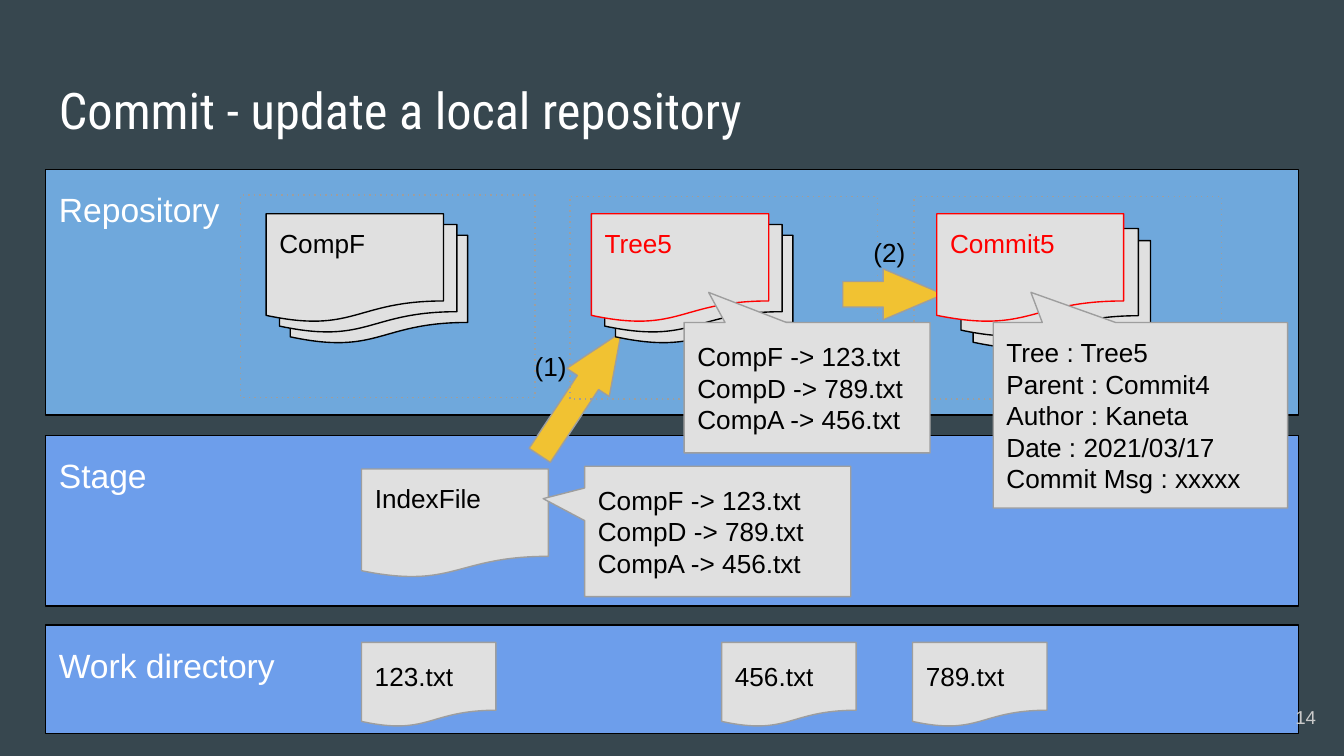
from dataclasses import dataclass

from lxml import etree
from pptx import Presentation
from pptx import util as u
from pptx.dml.color import RGBColor
from pptx.enum import shapes, text
from pptx.oxml import ns

# Lengths are cells of a square grid: 100 columns by 56.25 rows.
COLS, ROWS = 100, 56.25
CELL = u.Inches(0.1)
GREY, EDGE, BLACK, WHITE, RED = "E0E0E0", "9E9E9E", "000000", "FFFFFF", "FF0000"
KIND = shapes.MSO_SHAPE
TOP, MIDDLE = text.MSO_ANCHOR.TOP, text.MSO_ANCHOR.MIDDLE
FILE_LIST = "CompF -> 123.txt\nCompD -> 789.txt\nCompA -> 456.txt"


@dataclass
class Box:
    """A place on the grid."""
    col: float
    row: float
    cols: float
    rows: float


@dataclass
class Band:
    """A full-width layer of the repository model."""
    label: str
    row: float
    rows: float
    fill: str


@dataclass
class Stack:
    """A pile of three documents, the labelled one in front."""
    label: str
    front: Box
    back: list[tuple[float, float]]
    color: str
    line: str


@dataclass
class Callout:
    """A speech box with its pointer."""
    box: Box
    lines: str
    pointer: tuple[float, float]


def rgb(value: str) -> RGBColor:
    """Turn a hex string into a colour."""
    return RGBColor.from_string(value)


def place(box: Box) -> list[int]:
    """Turn grid cells into slide lengths."""
    return [round(n * CELL) for n in (box.col, box.row, box.cols, box.rows)]


def write(sp, words: str, size: float = 14, color: str = BLACK, anchor=TOP,
          font: str = "Arial", align=text.PP_ALIGN.LEFT):
    """Write one paragraph per line and return the paragraphs."""
    tf = sp.text_frame
    tf.word_wrap, tf.vertical_anchor = True, anchor
    tf.margin_left = tf.margin_right = tf.margin_top = tf.margin_bottom = CELL
    tf.text = words
    for p in tf.paragraphs:
        p.alignment = align
        p.font.name, p.font.size, p.font.color.rgb = font, u.Pt(size), rgb(color)
    return tf.paragraphs


def add_shape(s, kind, box: Box, fill: str = GREY, line: str = EDGE, adjust=()):
    """Draw a preset shape; an empty fill leaves it see-through."""
    sp = s.shapes.add_shape(kind, *place(box))
    sp.shadow.inherit = False
    if fill:
        sp.fill.solid()
        sp.fill.fore_color.rgb = rgb(fill)
    else:
        sp.fill.background()
    sp.line.color.rgb, sp.line.width = rgb(line), u.Pt(0.75)
    for i, value in enumerate(adjust):
        sp.adjustments[i] = value
    return sp


def add_label(s, box: Box, words: str, **style) -> None:
    """Write text on its own."""
    write(s.shapes.add_textbox(*place(box)), words, **style)


def add_band(s, band: Band) -> None:
    """Draw a layer with its name."""
    sp = add_shape(s, KIND.RECTANGLE, Box(3.4, band.row, 93.2, band.rows), band.fill, BLACK)
    p = write(sp, band.label, 18, WHITE)[0]
    p.line_spacing, p.space_after = 1.15, u.Pt(12)


def add_document(s, box: Box, label: str = "", color: str = BLACK,
                 line: str = EDGE, anchor=TOP) -> None:
    """Draw a document, labelled if it has a name."""
    sp = add_shape(s, KIND.FLOWCHART_DOCUMENT, box, line=line)
    if label:
        write(sp, label, color=color, anchor=anchor)


def add_stack(s, stack: Stack) -> None:
    """Draw the rear documents, then the front one."""
    for col, row in stack.back:
        add_document(s, Box(col, row, 13.2, 8.1), line=BLACK)
    add_document(s, stack.front, stack.label, stack.color, stack.line)


def add_callout(s, callout: Callout) -> None:
    """Draw a callout with its lines."""
    sp = add_shape(s, KIND.RECTANGULAR_CALLOUT, callout.box, adjust=callout.pointer)
    write(sp, callout.lines, anchor=MIDDLE)


def add_frame(s, box: Box) -> None:
    """Draw a dotted frame around a stack."""
    sp = add_shape(s, KIND.RECTANGLE, box, fill="")
    ln = sp.element.spPr.find(ns.qn("a:ln"))
    etree.SubElement(ln, ns.qn("a:prstDash"), val="dot")


def add_arrow(s, box: Box, angle: float = 0) -> None:
    """Draw a yellow step arrow."""
    add_shape(s, KIND.RIGHT_ARROW, box, "F1C232", adjust=(0.5, 1.182)).rotation = angle


def main() -> None:
    """Build the slide, from back to front."""
    prs = Presentation()
    prs.slide_width, prs.slide_height = round(COLS * CELL), round(ROWS * CELL)
    s = prs.slides.add_slide(prs.slide_layouts[6])
    s.background.fill.solid()
    s.background.fill.fore_color.rgb = rgb("37474F")

    repository = Band("Repository", 12.6, 18.3, "6FA8DC")
    work, stage = Band("Work directory", 46.5, 8.1, "6D9EEB"), Band("Stage", 32.4, 12.7, "6D9EEB")
    add_band(s, repository)
    add_label(s, Box(3.4, 4.9, 93.2, 6.3), "Commit - update a local repository",
              size=27, color=WHITE, font="Roboto Condensed")
    add_band(s, work)
    for name, col in (("123.txt", 26.9), ("456.txt", 53.7), ("789.txt", 67.9)):
        add_document(s, Box(col, 47.8, 10, 6.3), name, anchor=MIDDLE)
    add_band(s, stage)

    add_arrow(s, Box(37.7, 27.4, 11, 3.8), 303.5)
    add_frame(s, Box(17.9, 14.5, 21.9, 15.1))
    add_document(s, Box(26.9, 34.9, 13.9, 8.1), "IndexFile")
    add_callout(s, Callout(Box(43.5, 34.7, 19.8, 9.7), FILE_LIST, (-0.656, -0.252)))
    add_label(s, Box(38.8, 25.1, 4.5, 4.4), "(1)")
    add_frame(s, Box(42.4, 14.6, 22.9, 15.1))
    add_label(s, Box(64, 16.6, 4.5, 4.4), "(2)")
    add_frame(s, Box(68, 14.6, 22.9, 15.1))
    add_arrow(s, Box(62.7, 20, 7.5, 3.8))

    add_stack(s, Stack("CompF", Box(19.8, 15.9, 13.2, 8.1),
                       [(21.6, 17.5), (20.8, 16.7)], BLACK, BLACK))
    add_stack(s, Stack("Tree5", Box(44, 15.9, 13.2, 8.1),
                       [(45.8, 17.5), (45, 16.7)], RED, RED))
    add_callout(s, Callout(Box(50.9, 24, 18.3, 9.7), FILE_LIST, (-0.4, -0.731)))
    add_stack(s, Stack("Commit5", Box(69.7, 15.9, 13.9, 8.1),
                       [(72.4, 17.9), (71.5, 17)], RED, RED))
    add_callout(s, Callout(
        Box(73.9, 24, 21.9, 13.8),
        "Tree : Tree5\nParent : Commit4\nAuthor : Kaneta\n"
        "Date : 2021/03/17\nCommit Msg : xxxxx", (-0.372, -0.663)))
    add_label(s, Box(92.9, 51.2, 6, 4.3), "14", size=10, color="CACACA",
              anchor=MIDDLE, align=text.PP_ALIGN.RIGHT)
    prs.save("out.pptx")


main()
